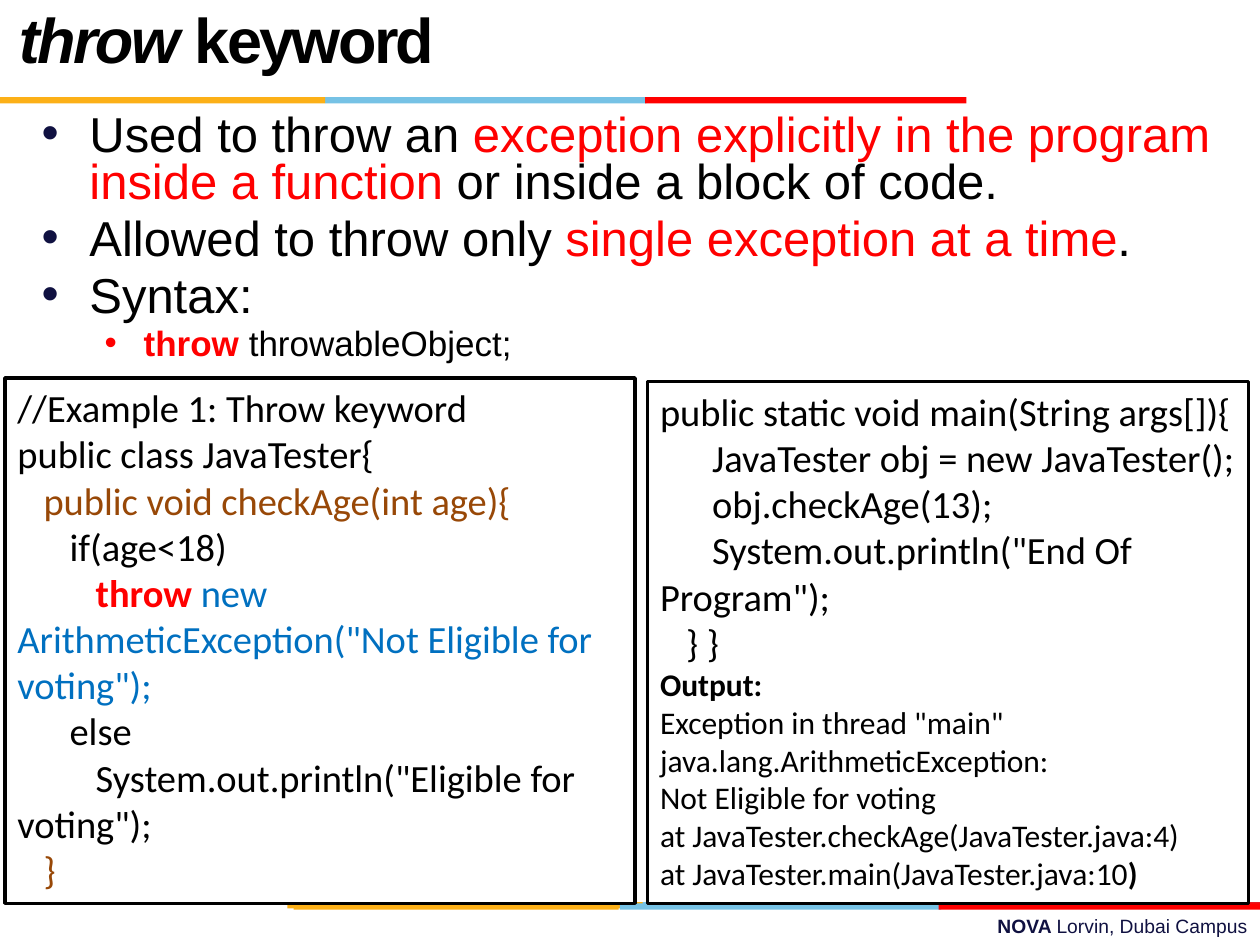
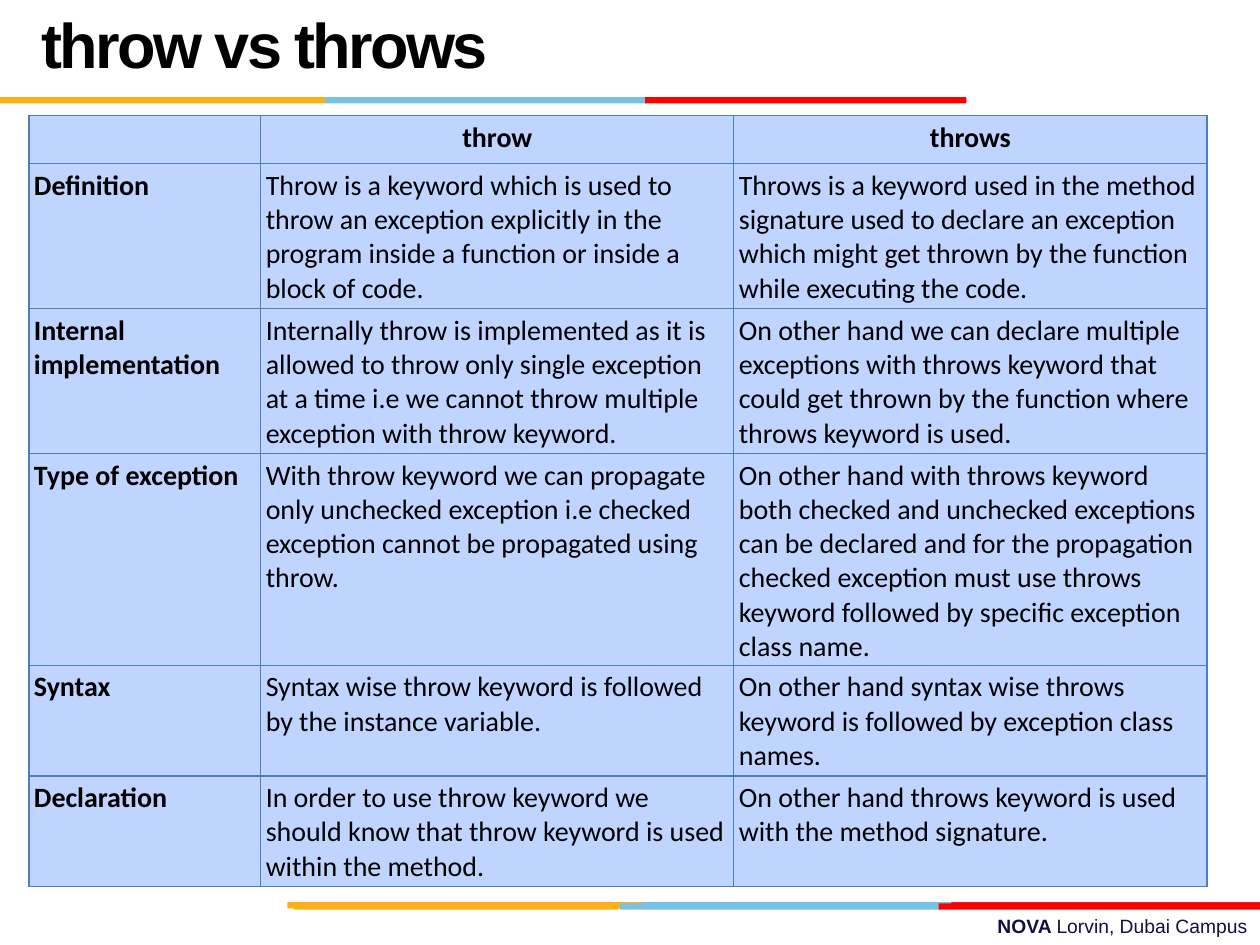
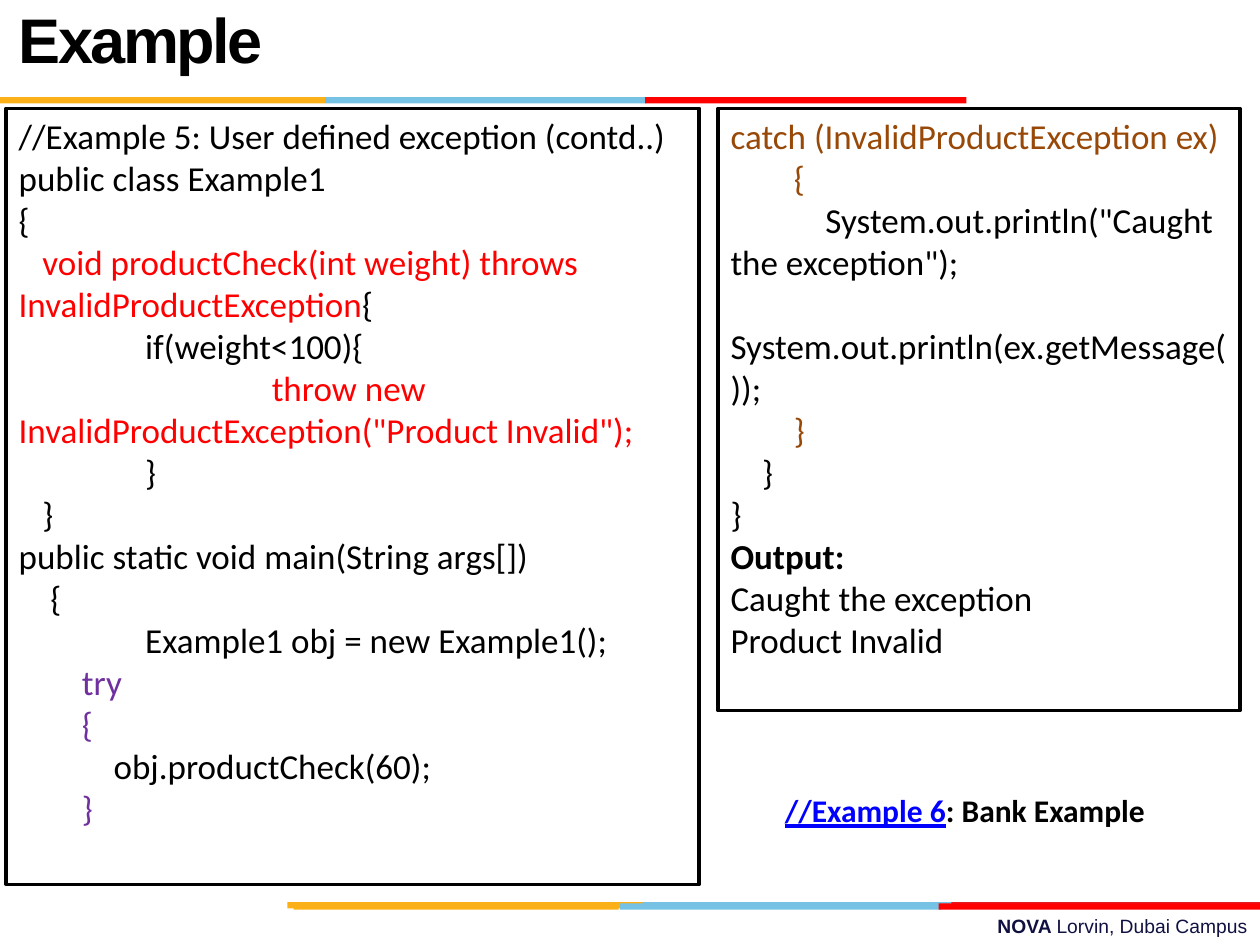
"""Build three slides on the Java throw keyword."""
from dataclasses import dataclass
from typing import Optional

from lxml.etree import SubElement
from pptx import Presentation
from pptx.dml.color import RGBColor
from pptx.enum.shapes import MSO_SHAPE
from pptx.enum.text import MSO_ANCHOR, MSO_AUTO_SIZE, PP_ALIGN
from pptx.oxml.ns import qn
from pptx.util import Inches, Pt

COLUMNS, ROWS = 100, 75
WIDTH, HEIGHT = Inches(10), Inches(7.5)
BLACK, WHITE, RED, NAVY = "000000", "FFFFFF", "FF0000", "101141"
GOLD, SKY, CRIMSON = "FCB017", "76C2E5", "E31C24"
BROWN, BLUE, PURPLE, LINK = "984807", "0070C0", "7030A0", "0000FF"
TABLE_FILL, TABLE_BORDER = "BFD4FF", "4B7EBC"
HEADING_FONT, CODE_FONT = "Arial", "Calibri"
SPACE_SHARE = 0.226


@dataclass(frozen=True)
class Area:
    """A rectangle measured in grid columns and rows."""
    column: float
    row: float
    columns: float
    rows: float

    def box(self) -> tuple[int, int, int, int]:
        """Return left, top, width and height as lengths."""
        return (int(WIDTH * self.column / COLUMNS), int(HEIGHT * self.row / ROWS),
                int(WIDTH * self.columns / COLUMNS), int(HEIGHT * self.rows / ROWS))


@dataclass(frozen=True)
class Words:
    """A stretch of text with one format."""
    text: str
    color: str = BLACK
    bold: bool = False
    italic: bool = False
    underline: bool = False


@dataclass(frozen=True)
class Line:
    """A paragraph of code or output, indented by a number of spaces."""
    words: tuple[Words, ...]
    spaces: int = 0
    size: Optional[float] = None
    skipped_lines: int = 0


@dataclass(frozen=True)
class Bullet:
    """A list item with its level and bullet colour."""
    words: tuple[Words, ...]
    level: int = 0
    color: str = NAVY


@dataclass(frozen=True)
class Stripe:
    """One coloured part of a band."""
    color: str
    area: Area


def code(text: str, spaces: int = 0, color: str = BLACK, **options) -> Line:
    """Make a code line of a single colour."""
    bold = options.pop("bold", False)
    return Line((Words(text, color, bold),), spaces, **options)


def band(row: float, *parts: tuple[str, float, float]) -> list[Stripe]:
    """Make the stripes of one band from colour, column and width."""
    return [Stripe(color, Area(column, row, columns, 0.5)) for color, column, columns in parts]


BANDS = [
    *band(71.6, (SKY, 50.6, 25.5), (CRIMSON, 75.5, 24.5), (GOLD, 22.8, 28.2)),
    *band(71.7, (SKY, 49.2, 25.5), (GOLD, 23.3, 25.8), (RED, 74.5, 25.5)),
    *band(7.7, (SKY, 25.8, 25.5), (GOLD, 0, 25.8), (RED, 51.2, 25.5)),
]
TITLE_AREA = Area(0.5, 2, 73.3, 3.1)
FOOTER = (Words("NOVA ", NAVY, bold=True), Words("Lorvin, Dubai Campus", NAVY))

THROW_POINTS = [
    Bullet((Words("Used to throw an "),
            Words("exception explicitly in the program inside a function", RED),
            Words(" or inside a block of code."))),
    Bullet((Words("Allowed to throw only "), Words("single exception at a time", RED), Words("."))),
    Bullet((Words("Syntax:"),)),
    Bullet((Words("throw ", RED, bold=True), Words("throwableObject;")), 1, RED),
]
CHECK_AGE = [
    code("//Example 1: Throw keyword"),
    code("public class JavaTester{"),
    code("public void checkAge(int age){", 3, BROWN),
    code("if(age<18)", 6),
    Line((Words("throw ", RED, bold=True),
          Words('new ArithmeticException("Not Eligible for voting");', BLUE)), 9),
    code("else", 6),
    code('System.out.println("Eligible for voting");', 9),
    code("}", 3, BROWN),
]
CHECK_AGE_MAIN = [
    code("public static void main(String args[]){"),
    code("JavaTester obj = new JavaTester();", 6),
    code("obj.checkAge(13);", 6),
    code('System.out.println("End Of Program");', 6),
    code("} }", 3),
    code("Output:", bold=True, size=18),
    code('Exception in thread "main" java.lang.ArithmeticException:', size=18),
    code("Not Eligible for voting", size=18),
    code("at JavaTester.checkAge(JavaTester.java:4)", size=18),
    Line((Words("at JavaTester.main(JavaTester.java:10"), Words(")", bold=True)), size=18),
]
PRODUCT_CHECK = [
    code("//Example 5: User defined exception (contd..)"),
    code("public class Example1"),
    code("{"),
    Line((Words("void productCheck(int weight) throws InvalidProductException", RED),
          Words("{")), 3),
    code("if(weight<100){", 16),
    code('throw new InvalidProductException("Product Invalid");', 32, RED),
    code("}", 16),
    code("}", 3),
    code("public static void main(String args[])"),
    code("{", 4),
    code("Example1 obj = new Example1();", 16),
    code("try", 8, PURPLE),
    code("{", 8, PURPLE),
    code("obj.productCheck(60);", 12),
    code("}", 8, PURPLE),
]
PRODUCT_CATCH = [
    code("catch (InvalidProductException ex)", 0, BROWN),
    code("{", 8, BROWN),
    code('System.out.println("Caught the exception");', 12),
    code("System.out.println(ex.getMessage());", skipped_lines=1),
    code("}", 8, BROWN),
    code("}", 4),
    code("}"),
    code("Output:", bold=True),
    code("Caught the exception"),
    code("Product Invalid"),
]
COMPARISON = [
    ("", "throw", "throws"),
    ("Definition",
     "Throw is a keyword which is used to throw an exception explicitly in the program "
     "inside a function or inside a block of code.",
     "Throws is a keyword used in the method signature used to declare an exception which "
     "might get thrown by the function while executing the code."),
    ("Internal implementation",
     "Internally throw is implemented as it is allowed to throw only single exception at a "
     "time i.e we cannot throw multiple exception with throw keyword.",
     "On other hand we can declare multiple exceptions with throws keyword that could get "
     "thrown by the function where throws keyword is used."),
    ("Type of exception",
     "With throw keyword we can propagate only unchecked exception i.e checked exception "
     "cannot be propagated using throw.",
     "On other hand with throws keyword both checked and unchecked exceptions can be declared "
     "and for the propagation checked exception must use throws keyword followed by specific "
     "exception class name."),
    ("Syntax",
     "Syntax wise throw keyword is followed by the instance variable.",
     "On other hand syntax wise throws keyword is followed by exception class names."),
    ("Declaration",
     "In order to use throw keyword we should know that throw keyword is used within the method.",
     "On other hand throws keyword is used with the method signature."),
]
COMPARISON_COLUMNS = (18.4, 37.55, 37.55)
COMPARISON_ROWS = (3.8, 11.5, 11.5, 16.7, 8.8, 8.8)


def rgb(value: str) -> RGBColor:
    """Turn a hex string into a colour."""
    return RGBColor.from_string(value)


def write(paragraph, words: tuple[Words, ...], *, size: float, font: str,
          align=PP_ALIGN.LEFT, spacing: float = 0) -> None:
    """Add formatted words to a paragraph."""
    paragraph.alignment = align
    for part in words:
        run = paragraph.add_run()
        run.text = part.text
        run.font.name, run.font.size = font, Pt(size)
        run.font.bold, run.font.italic = part.bold, part.italic
        run.font.underline = part.underline
        run.font.color.rgb = rgb(part.color)
        if spacing:
            run._r.get_or_add_rPr().set("spc", str(int(spacing * 100)))


def set_indent(paragraph, left: float, first: float) -> None:
    """Set the left margin and first line indent in inches."""
    properties = paragraph._p.get_or_add_pPr()
    properties.set("marL", str(Inches(left)))
    properties.set("indent", str(Inches(first)))


def place(shape, area: Area) -> None:
    """Move a placeholder to an area."""
    shape.left, shape.top, shape.width, shape.height = area.box()


def paragraphs(frame, count: int) -> list:
    """Return the given number of paragraphs of an empty frame."""
    return [frame.paragraphs[0], *(frame.add_paragraph() for _ in range(count - 1))]


def add_rectangle(slide, area: Area, fill: str):
    """Draw a plain rectangle."""
    rectangle = slide.shapes.add_shape(MSO_SHAPE.RECTANGLE, *area.box())
    rectangle.shadow.inherit = False
    rectangle.fill.solid()
    rectangle.fill.fore_color.rgb = rgb(fill)
    rectangle.line.fill.background()
    return rectangle


def add_label(slide, area: Area, words: tuple[Words, ...], *, wrap: bool = True, **style) -> None:
    """Add a one-line text box."""
    frame = slide.shapes.add_textbox(*area.box()).text_frame
    frame.word_wrap = wrap
    write(frame.paragraphs[0], words, **style)


def start_slide(deck, layout: int, title: tuple[Words, ...], area: Area = TITLE_AREA):
    """Add a slide with its title, bands and footer."""
    slide = deck.slides.add_slide(deck.slide_layouts[layout])
    place(slide.shapes.title, area)
    frame = slide.shapes.title.text_frame
    frame.auto_size, frame.vertical_anchor = MSO_AUTO_SIZE.NONE, MSO_ANCHOR.MIDDLE
    heading = frame.paragraphs[0]
    heading.line_spacing = Pt(36)
    write(heading, title, size=36, font=HEADING_FONT, spacing=-1.5)
    add_label(slide, Area(35.8, 72.1, 64.2, 2.9), FOOTER,
              size=11, font=HEADING_FONT, align=PP_ALIGN.RIGHT)
    for stripe in BANDS:
        add_rectangle(slide, stripe.area, stripe.color)
    return slide


def fill_list(body, area: Area, bullets: list[Bullet]) -> None:
    """Write a bulleted list into the body placeholder."""
    place(body, area)
    frame = body.text_frame
    frame.auto_size = MSO_AUTO_SIZE.NONE
    for paragraph, bullet in zip(paragraphs(frame, len(bullets)), bullets):
        size, left, hanging = ((28, 0.38, -0.38), (20, 0.81, -0.31))[bullet.level]
        paragraph.level = bullet.level
        paragraph.line_spacing, paragraph.space_before = 0.8, Pt(size * 0.2)
        set_indent(paragraph, left, hanging)
        properties = paragraph._p.get_or_add_pPr()
        SubElement(SubElement(properties, qn("a:buClr")), qn("a:srgbClr"), val=bullet.color)
        SubElement(properties, qn("a:buFont"), typeface=HEADING_FONT)
        SubElement(properties, qn("a:buChar"), char="•")
        write(paragraph, bullet.words, size=size, font=HEADING_FONT)


def add_code_panel(slide, area: Area, lines: list[Line], size: float) -> None:
    """Draw an outlined panel holding lines of code."""
    panel = add_rectangle(slide, area, WHITE)
    panel.line.color.rgb, panel.line.width = rgb(BLACK), Pt(2)
    frame = panel.text_frame
    frame.word_wrap, frame.vertical_anchor = True, MSO_ANCHOR.TOP
    for paragraph, line in zip(paragraphs(frame, len(lines)), lines):
        set_indent(paragraph, 0, line.spaces * SPACE_SHARE * size / 72)
        paragraph.space_before = Pt(line.skipped_lines * size * 1.2)
        write(paragraph, line.words, size=line.size or size, font=CODE_FONT)


def style_cell(cell) -> None:
    """Set the borders, fill and insets of a table cell."""
    properties = cell._tc.get_or_add_tcPr()
    for side in ("a:lnL", "a:lnR", "a:lnT", "a:lnB"):
        border = SubElement(properties, qn(side), w=str(Pt(0.75)))
        SubElement(SubElement(border, qn("a:solidFill")), qn("a:srgbClr"), val=TABLE_BORDER)
    cell.fill.solid()
    cell.fill.fore_color.rgb = rgb(TABLE_FILL)
    cell.margin_left = cell.margin_right = cell.margin_top = cell.margin_bottom = Inches(0.04)


def add_comparison(slide, column: float, row: float) -> None:
    """Add the table that compares the two keywords."""
    area = Area(column, row, sum(COMPARISON_COLUMNS), sum(COMPARISON_ROWS))
    table = slide.shapes.add_table(len(COMPARISON_ROWS), len(COMPARISON_COLUMNS),
                                   *area.box()).table
    table.first_row = table.horz_banding = False
    for part, columns in zip(table.columns, COMPARISON_COLUMNS):
        part.width = int(WIDTH * columns / COLUMNS)
    for part, rows in zip(table.rows, COMPARISON_ROWS):
        part.height = int(HEIGHT * rows / ROWS)
    for r, entries in enumerate(COMPARISON):
        for c, entry in enumerate(entries):
            cell = table.cell(r, c)
            style_cell(cell)
            if entry:
                write(cell.text_frame.paragraphs[0], (Words(entry, bold=r == 0 or c == 0),),
                      size=16, font=CODE_FONT,
                      align=PP_ALIGN.CENTER if r == 0 else PP_ALIGN.LEFT)


def main() -> None:
    """Build and save the deck."""
    deck = Presentation()
    deck.slide_width, deck.slide_height = WIDTH, HEIGHT

    keyword = start_slide(deck, 1, (Words("throw", bold=True, italic=True),
                                    Words(" keyword", bold=True)))
    fill_list(keyword.placeholders[1], Area(2.3, 8.6, 96, 62.4), THROW_POINTS)
    add_code_panel(keyword, Area(0.4, 30, 50, 41.7), CHECK_AGE, 22)
    add_code_panel(keyword, Area(51.4, 30.3, 47.7, 41.4), CHECK_AGE_MAIN, 22)

    versus = start_slide(deck, 5, (Words("throw vs throws", bold=True),),
                         Area(2.3, 1.9, 69.2, 4))
    add_comparison(versus, 2.3, 9.2)

    example = start_slide(deck, 5, (Words("Example", bold=True),))
    add_code_panel(example, Area(0.5, 8.6, 55, 61.6), PRODUCT_CHECK, 20)
    add_code_panel(example, Area(57, 8.6, 41.4, 47.8), PRODUCT_CATCH, 20)
    add_label(example, Area(61.3, 62.3, 30.9, 4),
              (Words("//Example 6", LINK, bold=True, underline=True),
               Words(": Bank Example", bold=True)),
              wrap=False, size=18, font=CODE_FONT)

    deck.save("out.pptx")


main()
